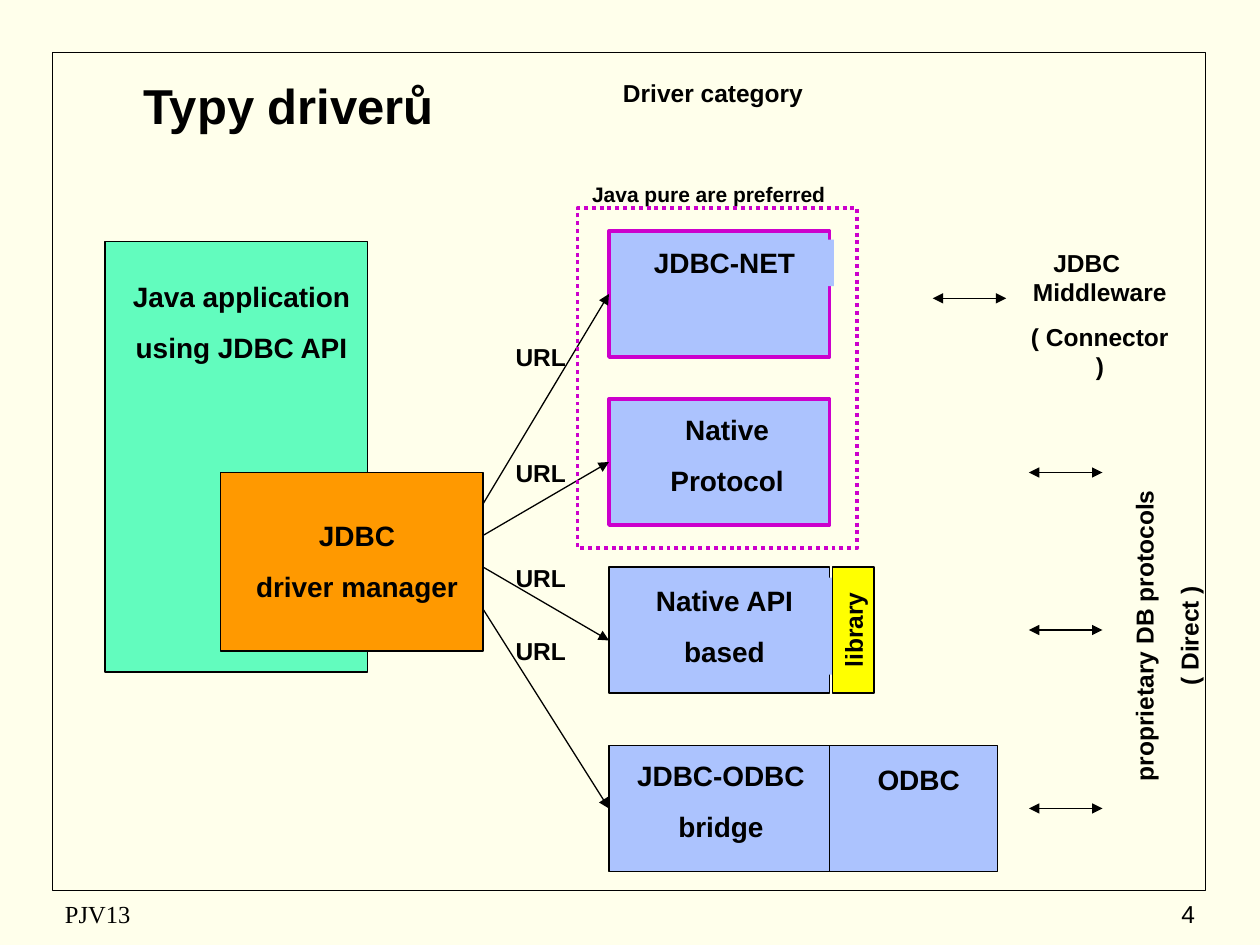
import dataclasses
import typing
import lxml.etree
import pptx
import pptx.dml.color
import pptx.enum.dml
import pptx.enum.shapes
import pptx.enum.text
import pptx.oxml.ns
import pptx.util

Pt = pptx.util.Pt
Align = pptx.enum.text.PP_ALIGN
Anchor = pptx.enum.text.MSO_ANCHOR

COLORS = {
    "page": "FFFFEB",
    "ink": "000000",
    "app": "62FCBE",
    "manager": "FF9900",
    "driver": "ACC3FE",
    "pure": "CC00CC",
    "library": "FFFF00",
}
HANG = Pt(15)


@dataclasses.dataclass
class Box:
    left: float
    top: float
    width: float
    height: float
    fill: typing.Optional[str] = None
    line: typing.Optional[str] = "ink"
    weight: float = 0.75
    dotted: bool = False


@dataclasses.dataclass
class Label:
    text: str
    left: float
    top: float
    width: float
    height: float
    size: float = 16
    fill: typing.Optional[str] = None
    line: typing.Optional[str] = None
    turn: float = 0
    flush: bool = False


@dataclasses.dataclass
class Arrow:
    left: float
    start: float
    right: float
    end: float
    double: bool = False


def color(name: str) -> pptx.dml.color.RGBColor:
    return pptx.dml.color.RGBColor.from_string(COLORS[name])


def style(run, size: float, bold: bool = True, face: str = "Arial") -> None:
    run.font.size = Pt(size)
    run.font.bold = bold
    run.font.name = face
    run.font.color.rgb = color("ink")


def paint(shape, fill: typing.Optional[str], line: typing.Optional[str], weight: float = 0.75) -> None:
    if fill:
        shape.fill.solid()
        shape.fill.fore_color.rgb = color(fill)
    else:
        shape.fill.background()
    if line:
        shape.line.color.rgb = color(line)
        shape.line.width = Pt(weight)
    else:
        shape.line.fill.background()


def draw_box(slide, box: Box) -> None:
    shape = slide.shapes.add_shape(
        pptx.enum.shapes.MSO_SHAPE.RECTANGLE,
        Pt(box.left), Pt(box.top), Pt(box.width), Pt(box.height))
    shape.shadow.inherit = False
    paint(shape, box.fill, box.line, box.weight)
    if box.dotted:
        shape.line.dash_style = pptx.enum.dml.MSO_LINE.ROUND_DOT


def draw_label(slide, label: Label) -> None:
    shape = slide.shapes.add_textbox(
        Pt(label.left), Pt(label.top), Pt(label.width), Pt(label.height))
    shape.rotation = label.turn
    paint(shape, label.fill, label.line)
    frame = shape.text_frame
    frame.word_wrap = True
    frame.text = label.text
    for index, para in enumerate(frame.paragraphs):
        flush = label.flush and index > 0
        props = para._p.get_or_add_pPr()
        props.set("marL", str(HANG))
        props.set("indent", str(0 if flush else -HANG))
        para.alignment = Align.CENTER
        if index:
            para.space_before = Pt(round(label.size * 0.625, 1))
        for run in para.runs:
            style(run, label.size)


def draw_arrow(slide, arrow: Arrow) -> None:
    shape = slide.shapes.add_connector(
        pptx.enum.shapes.MSO_CONNECTOR.STRAIGHT,
        Pt(arrow.left), Pt(arrow.start), Pt(arrow.right), Pt(arrow.end))
    shape.line.color.rgb = color("ink")
    shape.line.width = Pt(0.75)
    props = shape._element.spPr
    line = props.find(pptx.oxml.ns.qn("a:ln"))
    for tag in ("a:headEnd", "a:tailEnd") if arrow.double else ("a:tailEnd",):
        lxml.etree.SubElement(line, pptx.oxml.ns.qn(tag), type="triangle")
    lxml.etree.SubElement(props, pptx.oxml.ns.qn("a:effectLst"))


def draw_title(slide, text: str) -> None:
    title = slide.shapes.title
    title.left, title.top, title.width, title.height = Pt(36), Pt(36), Pt(258), Pt(48)
    frame = title.text_frame
    frame.text = text
    frame.vertical_anchor = Anchor.MIDDLE
    frame.paragraphs[0].alignment = Align.CENTER
    style(frame.paragraphs[0].runs[0], 28)


def draw_foot(slide, text: str, left: float, width: float, align, face: str) -> None:
    frame = slide.shapes.add_textbox(Pt(left), Pt(510), Pt(width), Pt(24)).text_frame
    frame.word_wrap = True
    frame.vertical_anchor = Anchor.MIDDLE
    frame.text = text
    frame.paragraphs[0].alignment = align
    style(frame.paragraphs[0].runs[0], 14, False, face)


BOXES = [
    Box(30, 30, 659, 479, weight=1),
    Box(60, 138, 150, 246, "app"),
    Box(126, 270, 150, 102, "manager"),
    Box(348, 132, 126, 72, "driver", "pure", 2.25),
    Box(348, 426, 126, 72, "driver"),
    Box(348, 324, 126, 72, "driver"),
    Box(348, 228, 126, 72, "driver", "pure", 2.25),
    Box(474, 426, 96, 72, "driver"),
]
LABELS = [
    Label("JDBC-NET", 351.5, 137, 125, 26.5, fill="driver"),
    Label("JDBC-ODBC\nbridge", 354, 430, 116, 55.5, fill="driver"),
    Label("ODBC", 486, 432, 78, 26.5, fill="driver"),
    Label("Native API\nbased", 352, 330, 124, 55.5, fill="driver"),
    Label("Native\nProtocol", 361, 232, 109, 55.5, fill="driver"),
    Label("JDBC\ndriver manager", 132, 292.5, 144, 55.5),
    Label("Java application\nusing JDBC API", 42, 156, 192, 55.5),
    Label("Driver category", 338.5, 41, 138, 24, 14),
    Label("JDBC Middleware\n( Connector )", 564, 138, 114, 66, 14, flush=True),
    Label("proprietary DB protocols\n( Direct )", 561.5, 338.5, 210, 49.5, 14, turn=270),
    Label("Java pure are preferred", 327, 100, 156, 22, 12),
    Label("library", 451.5, 348, 72, 24, 14, "library", "ink", 270),
]
LABELS += [Label("URL", 282, top, 54, 24, 14) for top in (192, 258, 318, 360)]
ARROWS = [Arrow(276, start, 348, end)
          for start, end in ((306, 264), (324, 366), (288, 168), (348, 462))]
ARROWS += [Arrow(left, y, left + 42, y, True)
           for left, y in ((533, 170.5), (588, 270), (588, 360), (588, 462))]


def main() -> None:
    deck = pptx.Presentation()
    deck.slide_width, deck.slide_height = Pt(720), Pt(540)
    slide = deck.slides.add_slide(deck.slide_layouts[5])
    slide.background.fill.solid()
    slide.background.fill.fore_color.rgb = color("page")
    draw_title(slide, "Typy driverů")
    for box in BOXES:
        draw_box(slide, box)
    for label in LABELS:
        draw_label(slide, label)
    for arrow in ARROWS:
        draw_arrow(slide, arrow)
    draw_box(slide, Box(330, 119, 160, 194, None, "pure", 2.25, True))
    draw_foot(slide, "PJV13", 30, 228, Align.LEFT, "Times New Roman")
    draw_foot(slide, "4", 540, 150, Align.RIGHT, "Arial")
    deck.save("out.pptx")


if __name__ == "__main__":
    main()
